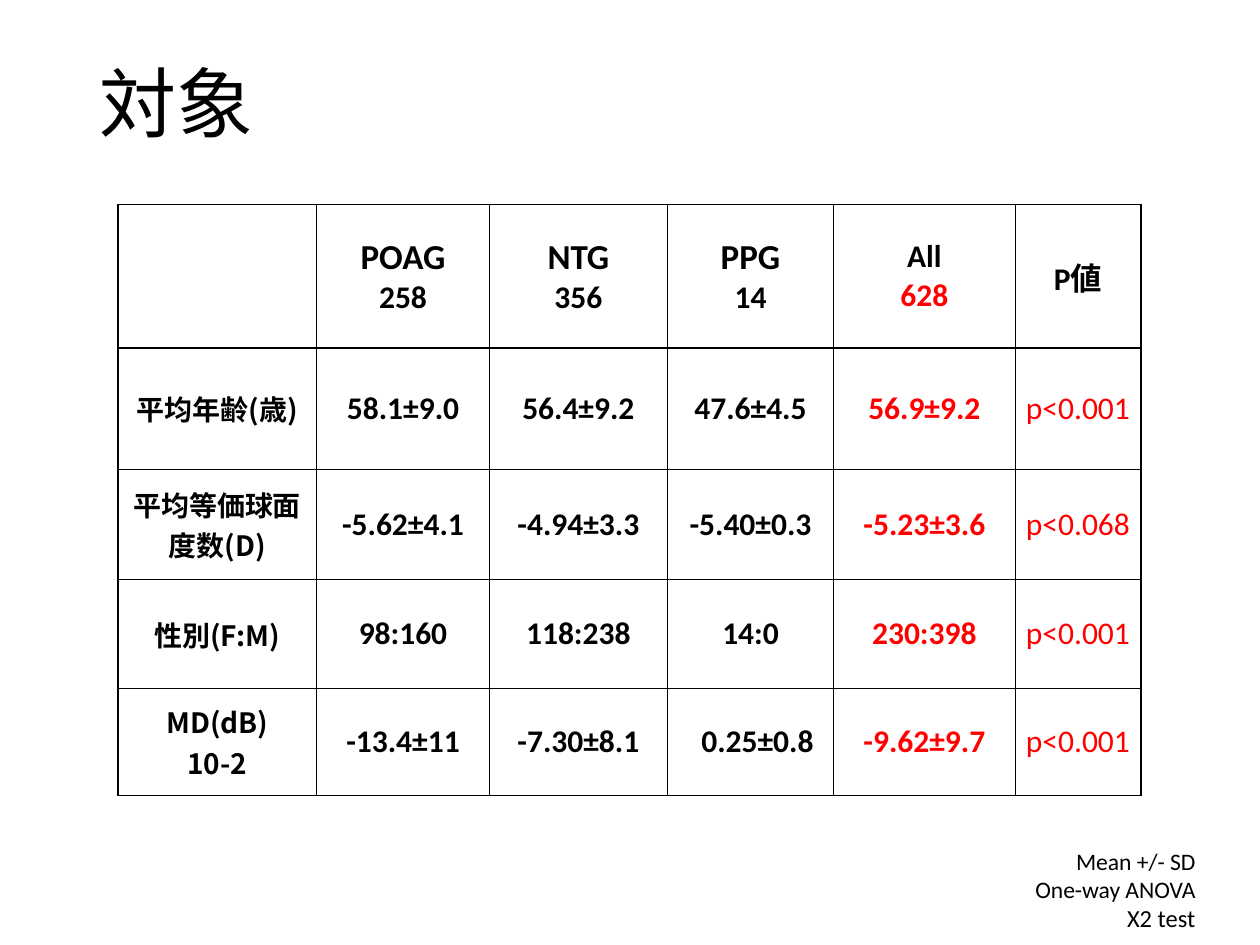
from dataclasses import dataclass

from lxml.etree import SubElement
from pptx import Presentation
from pptx.dml.color import RGBColor
from pptx.enum.text import MSO_ANCHOR, PP_ALIGN
from pptx.oxml.ns import qn
from pptx.util import Cm, Pt

BLACK, RED, WHITE = "000000", "FF0000", "FFFFFF"
LATIN, JAPANESE = "Calibri", "Noto Sans CJK JP"
THICK, THIN = 1, 0.5
COLUMN_WIDTHS = [4.0, 3.49, 3.58, 3.36, 3.65, 2.54]
ROW_HEIGHTS = [2.9, 2.44, 2.22, 2.2, 2.15]


@dataclass
class Line:
    text: str
    size: float = 18
    color: str = BLACK
    bold: bool = False
    font: str = LATIN


@dataclass
class Measure:
    label: list[str]
    values: list[str]
    p_value: str


GROUPS = [("POAG", "258"), ("NTG", "356"), ("PPG", "14")]
MEASURES = [
    Measure(["平均年齢(歳)"], ["58.1±9.0", "56.4±9.2", "47.6±4.5", "56.9±9.2"], "p<0.001"),
    Measure(["平均等価球面度数(D)"], ["-5.62±4.1", "-4.94±3.3", "-5.40±0.3", "-5.23±3.6"], "p<0.068"),
    Measure(["性別(F:M)"], ["98:160", "118:238", "14:0", "230:398"], "p<0.001"),
    Measure(["MD(dB)", "10-2"], ["-13.4±11", "-7.30±8.1", "0.25±0.8", "-9.62±9.7"], "p<0.001"),
]


def rgb(value: str) -> RGBColor:
    return RGBColor.from_string(value)


def set_values(target, values: dict) -> None:
    for name, value in values.items():
        setattr(target, name, value)


def write_lines(frame, lines: list[Line], alignment: PP_ALIGN, spacing: float = 1.0) -> None:
    for index, line in enumerate(lines):
        para = frame.add_paragraph() if index else frame.paragraphs[0]
        set_values(para, {"alignment": alignment, "line_spacing": spacing})
        span = para.add_run()
        span.text = line.text
        set_values(span.font, {"name": line.font, "size": Pt(line.size), "bold": line.bold})
        span.font.color.rgb = rgb(line.color)
        SubElement(span.font._element, qn("a:ea"), typeface=JAPANESE)


def add_text(slide, place: tuple, lines: list[Line], alignment: PP_ALIGN,
             frame_format: dict, spacing: float = 1.0) -> None:
    box = slide.shapes.add_textbox(*map(Cm, place))
    set_values(box.text_frame, {"word_wrap": True, **frame_format})
    write_lines(box.text_frame, lines, alignment, spacing)


def set_borders(cell, widths: dict[str, float]) -> None:
    """Draw the cell borders; they must stand before the fill in the cell's XML."""
    properties = cell._tc.get_or_add_tcPr()
    for side, width in widths.items():
        border = SubElement(properties, qn(f"a:ln{side}"), w=str(Pt(width)))
        fill = SubElement(border, qn("a:solidFill"))
        SubElement(fill, qn("a:srgbClr"), val=BLACK)


def table_rows() -> list[list[list[Line]]]:
    header = [[]]
    header += [[Line(name, 20, bold=True), Line(count, bold=True)] for name, count in GROUPS]
    header += [[Line("All", bold=True), Line("628", color=RED, bold=True)], [Line("P値", bold=True)]]
    rows = [header]
    for measure in MEASURES:
        *groups, total = measure.values
        row = [[Line(text, 16, bold=True, font=JAPANESE) for text in measure.label]]
        row += [[Line(value, bold=True)] for value in groups]
        row += [[Line(total, color=RED, bold=True)], [Line(measure.p_value, color=RED)]]
        rows.append(row)
    return rows


def add_subject_table(slide) -> None:
    rows = table_rows()
    table = slide.shapes.add_table(
        len(ROW_HEIGHTS), len(COLUMN_WIDTHS), Cm(2.38), Cm(4.12),
        Cm(sum(COLUMN_WIDTHS)), Cm(sum(ROW_HEIGHTS))).table
    set_values(table, {"first_row": False, "horz_banding": False})
    for column, width in zip(table.columns, COLUMN_WIDTHS):
        column.width = Cm(width)
    for row, height in zip(table.rows, ROW_HEIGHTS):
        row.height = Cm(height)

    column_lines = [THICK, THICK, THIN, THIN, THIN, THIN, THICK]
    row_lines = [THICK, THICK, THIN, THIN, THICK, THIN]
    for row_index, row in enumerate(rows):
        for column_index, lines in enumerate(row):
            cell = table.cell(row_index, column_index)
            margin = Cm(0.18 if row_index == 0 or column_index == 0 else 0.15)
            set_values(cell, {"vertical_anchor": MSO_ANCHOR.MIDDLE, "margin_left": margin,
                              "margin_right": margin, "margin_top": margin, "margin_bottom": margin})
            set_borders(cell, {"L": column_lines[column_index], "R": column_lines[column_index + 1],
                               "T": row_lines[row_index], "B": row_lines[row_index + 1]})
            cell.fill.solid()
            cell.fill.fore_color.rgb = rgb(WHITE)
            write_lines(cell.text_frame, lines, PP_ALIGN.CENTER)
    table.cell(4, 3).margin_left = Cm(0.43)


def main() -> None:
    deck = Presentation()
    set_values(deck, {"slide_width": Cm(25.4), "slide_height": Cm(19.05)})
    slide = deck.slides.add_slide(deck.slide_layouts[6])
    add_subject_table(slide)
    inset = Cm(0.18)
    add_text(slide, (17.3, 16.89, 6.98, 1.09),
             [Line("Mean +/- SD", 13.5), Line("One-way ANOVA", 13.5), Line("X2 test", 14)],
             PP_ALIGN.RIGHT, {"margin_left": inset, "margin_right": inset,
                              "margin_top": inset, "margin_bottom": inset})
    add_text(slide, (1.75, 1.02, 21.89, 2.31), [Line("対象", 44)], PP_ALIGN.LEFT,
             {"vertical_anchor": MSO_ANCHOR.MIDDLE}, 0.9)
    deck.save("out.pptx")


if __name__ == "__main__":
    main()
